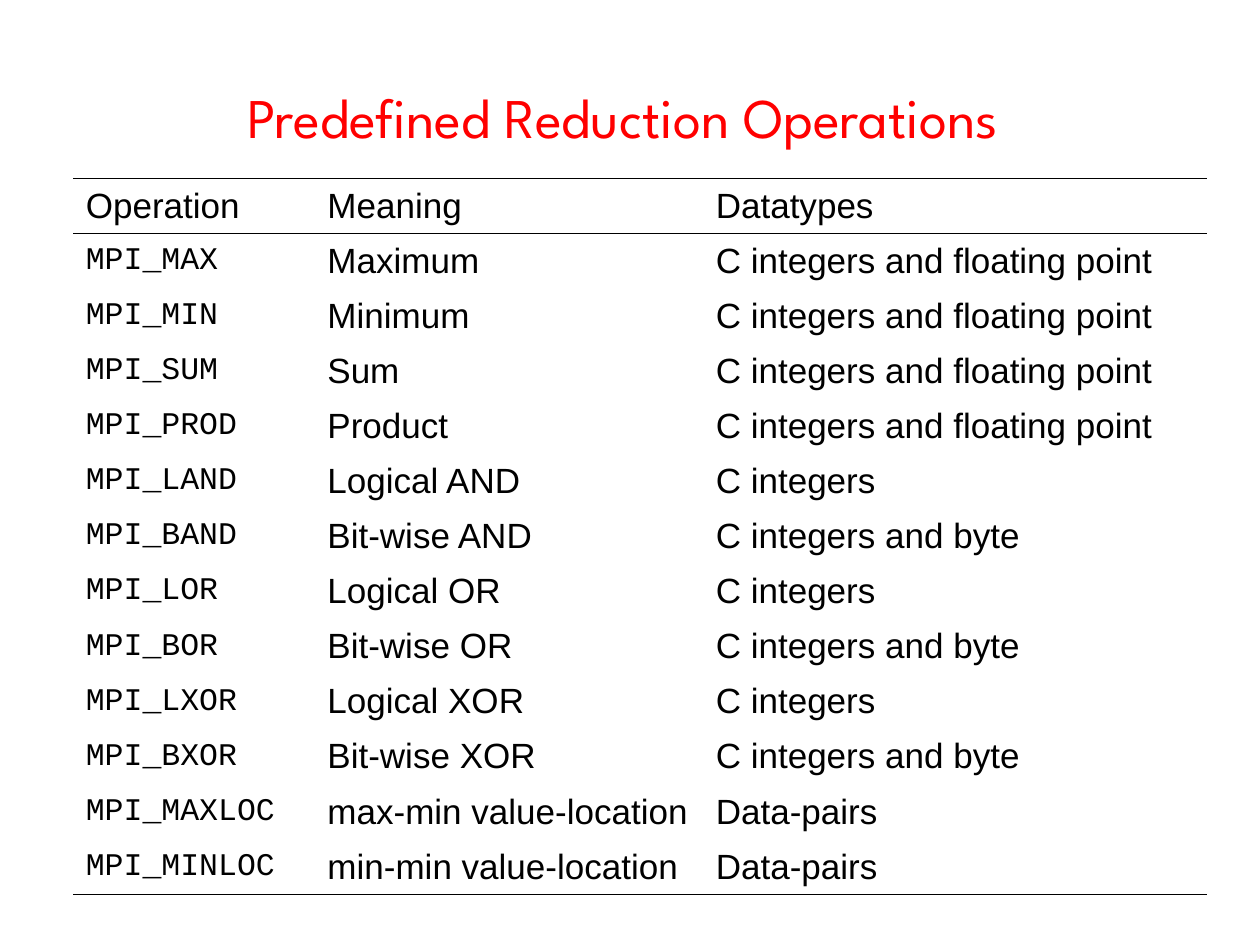
from lxml.etree import SubElement
from pptx import Presentation
from pptx.dml.color import RGBColor
from pptx.enum.text import MSO_ANCHOR, PP_ALIGN
from pptx.oxml.ns import qn
from pptx.util import Cm, Pt


def write(tf, text, font="Arial", size=20, color="000000", align=PP_ALIGN.LEFT):
    p = tf.paragraphs[0]
    p.alignment = align
    r = p.add_run()
    r.text = text
    r.font.name = font
    r.font.size = Pt(size)
    r.font.color.rgb = RGBColor.from_string(color)
    return p


def border(cell, side, color=None):
    ln = SubElement(cell._tc.get_or_add_tcPr(), qn(f"a:ln{side}"), w=str(Pt(0.45)))
    if color:
        SubElement(SubElement(ln, qn("a:solidFill")), qn("a:srgbClr"), val=color)
    else:
        SubElement(ln, qn("a:noFill"))


numbers = "C integers and floating point"
integers = "C integers"
integers_byte = "C integers and byte"
pairs = "Data-pairs"
rows = [
    ("Operation", "Meaning", "Datatypes"),
    ("MPI_MAX", "Maximum", numbers),
    ("MPI_MIN", "Minimum", numbers),
    ("MPI_SUM", "Sum", numbers),
    ("MPI_PROD", "Product", numbers),
    ("MPI_LAND", "Logical AND", integers),
    ("MPI_BAND", "Bit-wise AND", integers_byte),
    ("MPI_LOR", "Logical OR", integers),
    ("MPI_BOR", "Bit-wise OR", integers_byte),
    ("MPI_LXOR", "Logical XOR", integers),
    ("MPI_BXOR", "Bit-wise XOR", integers_byte),
    ("MPI_MAXLOC", "max-min value-location", pairs),
    ("MPI_MINLOC", "min-min value-location", pairs),
]
widths = [4.87, 7.83, 10.16]
row_height = 1.11

prs = Presentation()
prs.slide_width, prs.slide_height = Cm(25.4), Cm(19.05)
s = prs.slides.add_slide(prs.slide_layouts[6])

sp = s.shapes.add_textbox(Cm(1.27), Cm(0.76), Cm(22.86), Cm(3.18))
tf = sp.text_frame
tf.word_wrap = True
tf.vertical_anchor = MSO_ANCHOR.MIDDLE
write(tf, "Predefined Reduction Operations ", font="League Spartan", size=32,
      color="FF0000", align=PP_ALIGN.CENTER)

table = s.shapes.add_table(len(rows), len(widths), Cm(1.48), Cm(3.6),
                           Cm(sum(widths)), Cm(row_height * len(rows))).table
table.first_row = table.horz_banding = False
for col, width in zip(table.columns, widths):
    col.width = Cm(width)

for i, row in enumerate(rows):
    table.rows[i].height = Cm(row_height)
    for j, text in enumerate(row):
        cell = table.cell(i, j)
        cell.vertical_anchor = MSO_ANCHOR.MIDDLE
        cell.margin_left = cell.margin_right = Cm(0.25)
        cell.margin_top = cell.margin_bottom = Cm(0.13)
        code = i > 0 and j == 0
        p = write(cell.text_frame, text, font="Courier New" if code else "Arial",
                  size=18 if code else 20)
        pPr = p._p.get_or_add_pPr()
        pPr.set("marL", str(Cm(0.95)))
        pPr.set("indent", str(Cm(-0.95)))
        border(cell, "L")
        border(cell, "R")
        border(cell, "T", "000000" if i in (0, 1) else None)
        border(cell, "B", "000000" if i in (0, len(rows) - 1) else None)
        cell.fill.background()

prs.save("out.pptx")
